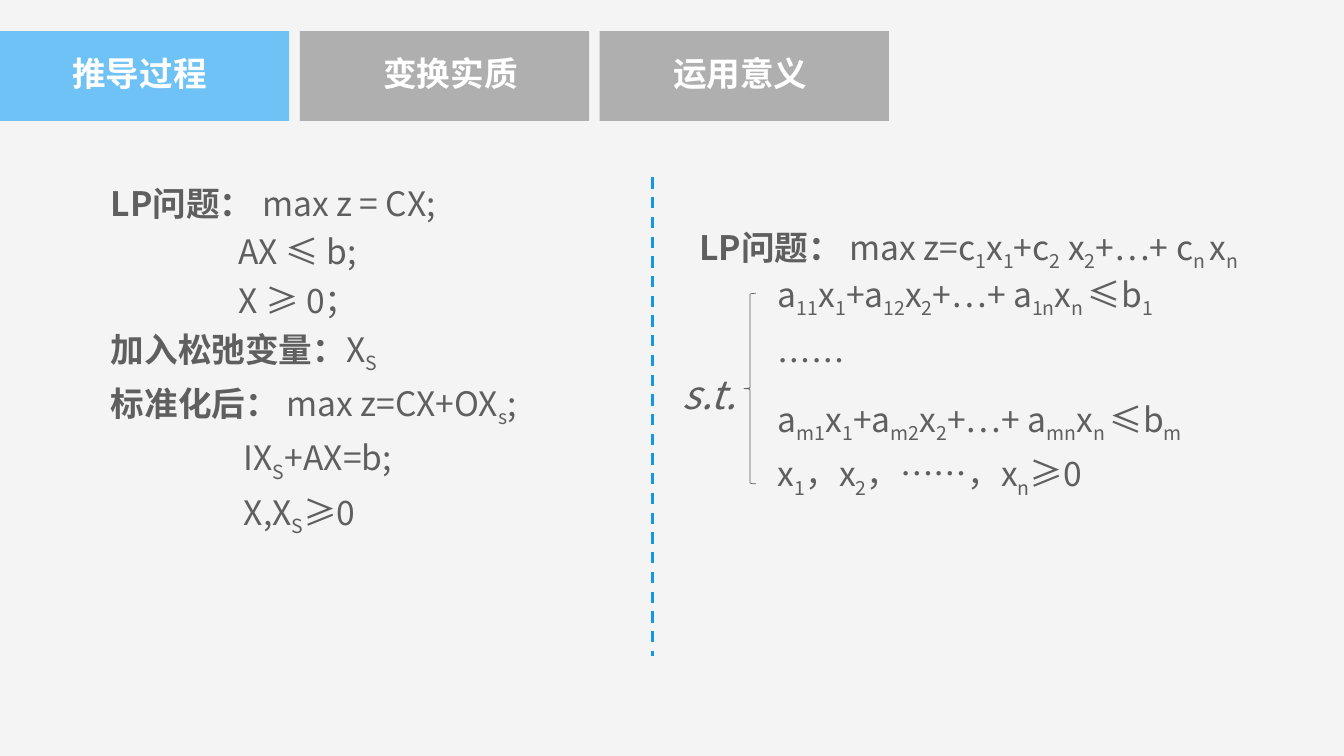
from dataclasses import dataclass

from pptx import Presentation
from pptx.dml.color import RGBColor
from pptx.enum.dml import MSO_LINE
from pptx.enum.shapes import MSO_CONNECTOR, MSO_SHAPE
from pptx.enum.text import MSO_ANCHOR, MSO_AUTO_SIZE, PP_ALIGN
from pptx.oxml.ns import qn
from pptx.util import Pt
from lxml import etree

LEFT, CENTER = PP_ALIGN.LEFT, PP_ALIGN.CENTER
TOP, MIDDLE = MSO_ANCHOR.TOP, MSO_ANCHOR.MIDDLE
FIXED = MSO_AUTO_SIZE.NONE
FONT = "Noto Sans CJK SC"
COLORS = {
    "page": "F4F4F4",
    "active": "6FC2F5",
    "idle": "AFAFAF",
    "label": "FFFFFF",
    "text": "5F5F5F",
    "divider": "1198EB",
}
TAB_TOP, TAB_WIDTH, TAB_HEIGHT, TAB_STEP = 22.3, 206.6, 64.1, 214.2
SUBSCRIPT = "-25000"


@dataclass
class Tab:
    label: str
    shift: float  # label offset from the middle of the tab


@dataclass
class Line:
    """Bold label followed by a formula; underscores enclose subscripts."""
    formula: str
    label: str = ""
    indent: float = 0
    tab_stop: float = 0


@dataclass
class Formula:
    left: float
    top: float
    width: float
    height: float
    lines: list[Line]
    align: PP_ALIGN = LEFT
    wrap: bool = True
    size: float = 24
    italic: bool = False


TABS = [Tab("推导过程", -3.6), Tab("变换实质", 4.3), Tab("运用意义", -2.9)]

DERIVATION = [
    Line("\tmax z = CX;", "LP问题：", tab_stop=129),
    Line("AX ≤ b;", indent=91),
    Line("X ≥ 0；", indent=91),
    Line("X_S_", "加入松弛变量："),
    Line("max z=CX+OX_s_;", "标准化后： "),
    Line("IX_S_+AX=b;", indent=95),
    Line("X,X_S_≥0", indent=95),
]

FORMULAS = [
    Formula(474.5, 141.8, 434.9, 51.1,
            [Line("max z=c_1_x_1_+c_2_ x_2_+…+ c_n _x_n_", "LP问题： ")],
            align=CENTER, wrap=False),
    Formula(548.6, 175.7, 424.8, 94.3,
            [Line("a_11_x_1_+a_12_x_2_+…+ a_1n_x_n _≤b_1_"), Line("……")]),
    Formula(465.8, 244.1, 82.1, 51.8, [Line("s.t.")],
            align=CENTER, size=28, italic=True),
    Formula(548.6, 303.8, 403.2, 46.1, [Line("x_1_，x_2_，……，x_n_≥0")]),
    Formula(548.6, 265, 441.4, 46.1,
            [Line("a_m1_x_1_+a_m2_x_2_+…+ a_mn_x_n _≤b_m_")]),
]


def color(name: str) -> RGBColor:
    return RGBColor.from_string(COLORS[name])


def place(shape, left: float, top: float, width: float, height: float) -> None:
    shape.left, shape.top = Pt(left), Pt(top)
    shape.width, shape.height = Pt(width), Pt(height)


def add_span(para, text: str, ink: str = "text", size: float = 24,
             bold: bool = False, italic: bool = False, sub: bool = False) -> None:
    span = para.add_run()
    span.text = text
    font = span.font
    font.size, font.bold, font.italic, font.name = Pt(size), bold, italic, FONT
    font.color.rgb = color(ink)
    properties = font._element
    etree.SubElement(properties, qn("a:ea")).set("typeface", FONT)
    if sub:
        properties.set("baseline", SUBSCRIPT)


def add_line(para, line: Line, size: float = 24, italic: bool = False) -> None:
    if line.label:
        add_span(para, line.label, size=size, bold=True)
    for index, part in enumerate(line.formula.split("_")):
        if part:
            add_span(para, part, size=size, italic=italic, sub=index % 2 == 1)


def paragraphs(frame, count: int) -> list:
    return [frame.paragraphs[0]] + [frame.add_paragraph() for _ in range(count - 1)]


def format_tab(shape, tab: Tab, index: int) -> None:
    place(shape, index * TAB_STEP, TAB_TOP, TAB_WIDTH, TAB_HEIGHT)
    shape.fill.solid()
    shape.fill.fore_color.rgb = color("idle" if index else "active")
    shape.line.fill.background()
    frame = shape.text_frame
    frame.auto_size, frame.vertical_anchor = FIXED, MIDDLE
    frame.margin_left = Pt(max(0, 2 * tab.shift))
    frame.margin_right = Pt(max(0, -2 * tab.shift))
    frame.margin_top, frame.margin_bottom = Pt(0), Pt(5)
    para = frame.paragraphs[0]
    para.alignment = CENTER
    add_span(para, tab.label, "label", bold=True)


def format_derivation(box) -> None:
    place(box, 72, 126.7, 380, 342)
    frame = box.text_frame
    frame.auto_size, frame.vertical_anchor = FIXED, TOP
    for index, (para, line) in enumerate(zip(paragraphs(frame, len(DERIVATION)), DERIVATION)):
        para.line_spacing = 1.0
        para.space_before = Pt(6 if index else 0)
        properties = para._p.get_or_add_pPr()
        properties.set("marL", str(Pt(line.indent)))
        properties.set("indent", "0")
        etree.SubElement(properties, qn("a:buNone"))
        if line.tab_stop:
            stops = etree.SubElement(properties, qn("a:tabLst"))
            etree.SubElement(stops, qn("a:tab"), pos=str(Pt(line.tab_stop)), algn="l")
        add_line(para, line)


def add_formula(page, formula: Formula) -> None:
    box = page.shapes.add_textbox(Pt(formula.left), Pt(formula.top),
                                  Pt(formula.width), Pt(formula.height))
    frame = box.text_frame
    frame.word_wrap = formula.wrap
    for para, line in zip(paragraphs(frame, len(formula.lines)), formula.lines):
        para.alignment, para.line_spacing = formula.align, 1.5
        add_line(para, line, formula.size, formula.italic)


def main() -> None:
    deck = Presentation()
    deck.slide_width, deck.slide_height = Pt(960), Pt(540)
    page = deck.slides.add_slide(deck.slide_layouts[1])
    page.background.fill.solid()
    page.background.fill.fore_color.rgb = color("page")

    # Tabs, the active one being the title
    for index, tab in enumerate(TABS):
        shape = page.shapes.title
        if index:
            shape = page.shapes.add_shape(MSO_SHAPE.RECTANGLE, 0, 0, 0, 0)
            shape.shadow.inherit = False
        format_tab(shape, tab, index)

    # Derivation on the left
    format_derivation(page.placeholders[1])

    # Dashed divider
    divider = page.shapes.add_connector(MSO_CONNECTOR.STRAIGHT, Pt(466), Pt(126.7),
                                        Pt(466), Pt(468.7))
    divider.line.color.rgb = color("divider")
    divider.line.width = Pt(2)
    divider.line.dash_style = MSO_LINE.DASH
    etree.SubElement(divider._element.spPr, qn("a:effectLst"))

    # Expanded problem on the right
    for formula in FORMULAS:
        add_formula(page, formula)
    brace = page.shapes.add_shape(MSO_SHAPE.LEFT_BRACE, Pt(531.4), Pt(209.5), Pt(8.6), Pt(136.1))
    brace.shadow.inherit = False
    brace.fill.background()
    brace.line.color.rgb = color("text")
    brace.line.width = Pt(0.5)

    deck.save("out.pptx")


if __name__ == "__main__":
    main()
